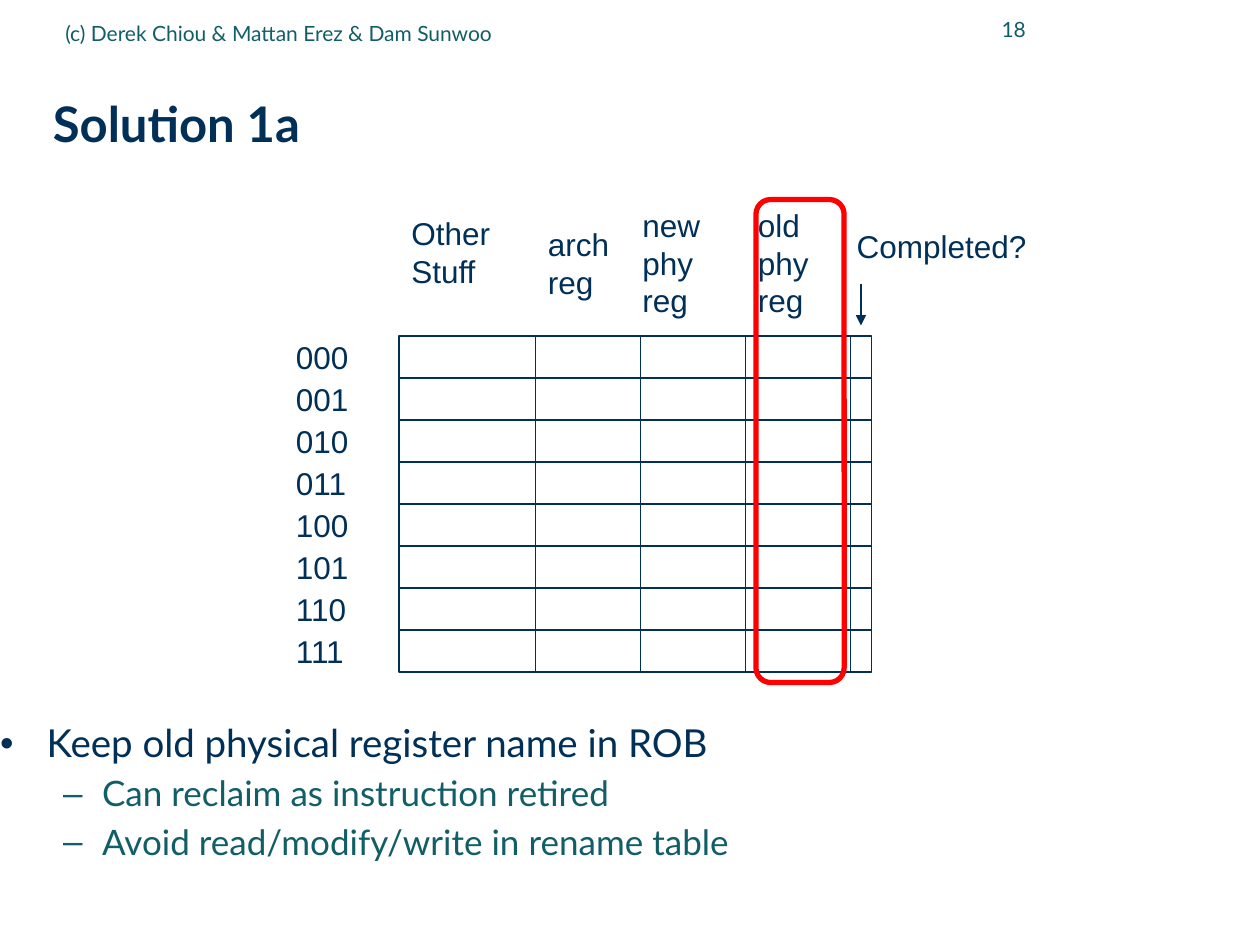
from dataclasses import dataclass

from lxml import etree
from pptx import Presentation
from pptx.dml.color import RGBColor
from pptx.enum.shapes import MSO_CONNECTOR, MSO_SHAPE
from pptx.enum.text import MSO_ANCHOR, PP_ALIGN
from pptx.oxml.ns import qn
from pptx.util import Inches, Pt

RECTANGLE, ROUNDED = MSO_SHAPE.RECTANGLE, MSO_SHAPE.ROUNDED_RECTANGLE
STRAIGHT = MSO_CONNECTOR.STRAIGHT
TOP, MIDDLE = MSO_ANCHOR.TOP, MSO_ANCHOR.MIDDLE
LEFT, RIGHT = PP_ALIGN.LEFT, PP_ALIGN.RIGHT


@dataclass(frozen=True)
class Theme:
    navy: str = "003057"
    teal: str = "115E67"
    red: str = "FF0000"
    text_font: str = "Lato"
    diagram_font: str = "Arial"
    title_size: int = 28
    small_size: int = 12
    label_size: int = 18
    thin: float = 0.75
    thick: float = 3


THEME = Theme()

# Content
TITLE = "Solution 1a"
FOOTER = "(c) Derek Chiou & Mattan Erez & Dam Sunwoo"
PAGE = "18"
# text, level, size, colour, text indent, hanging indent, bullet, space before
BULLETS = [
    ("Keep old physical register name in ROB", 0, 22, THEME.navy, 0.37, 0.37, "•", 0),
    ("Can reclaim as instruction retired", 1, 20, THEME.teal, 0.81, 0.31, "–", 6),
    ("Avoid read/modify/write in rename table", 1, 20, THEME.teal, 0.81, 0.31, "–", 6),
]
ROWS = [f"{index:03b}" for index in range(8)]

# Diagram grid, counted in twelfths of an inch
UNIT = 1 / 12
GRID_LEFT, GRID_TOP, ROW_HEIGHT = 38, 32, 4
COLUMN_WIDTHS = [13, 10, 10, 10, 2]
ROW_LABEL_LEFT, ROW_LABEL_WIDTH = 27, 10
# heading, left, top, width
HEADINGS = [
    ("Other\nStuff", 38, 22, 13),
    ("arch\nreg", 51, 23, 10),
    ("new\nphy\nreg", 60, 23, 10),
    ("old\nphy\nreg", 71, 23, 10),
]
COMPLETED = ("Completed?", 6.7, 1.75, 1.55, 0.4)
ARROW_TOP, ARROW_BOTTOM = 27, 31
HIGHLIGHT = (72, 19, 8.4, 46)

presentation = Presentation()
presentation.slide_width, presentation.slide_height = Inches(10), Inches(7.5)
slide = presentation.slides.add_slide(presentation.slide_layouts[6])


def units(*values):
    return [value * UNIT for value in values]


def format_runs(paragraph, size, color, font, bold=False):
    for run in paragraph.runs:
        run.font.size, run.font.name, run.font.bold = Pt(size), font, bold
        run.font.color.rgb = RGBColor.from_string(color)


def add_text(text, box, size, color=THEME.navy, font=THEME.text_font, bold=False,
             anchor=MIDDLE, align=LEFT, wrap=True, inset=True, spacing=None):
    frame = slide.shapes.add_textbox(*map(Inches, box)).text_frame
    frame.word_wrap, frame.vertical_anchor = wrap, anchor
    if not inset:
        frame.margin_left = frame.margin_right = 0
        frame.margin_top = frame.margin_bottom = 0
    frame.text = text
    for paragraph in frame.paragraphs:
        paragraph.alignment = align
        if spacing:
            paragraph.line_spacing = spacing
        format_runs(paragraph, size, color, font, bold)
    return frame


def add_label(text, box, anchor=MIDDLE):
    add_text(text, box, THEME.label_size, font=THEME.diagram_font,
             anchor=anchor, wrap=False)


def add_outline(kind, box, color, width):
    shape = slide.shapes.add_shape(kind, *map(Inches, box))
    shape.shadow.inherit = False
    shape.fill.background()
    shape.line.color.rgb = RGBColor.from_string(color)
    shape.line.width = Pt(width)


def add_bullet(paragraph, character, color, indent, hanging):
    properties = paragraph._p.get_or_add_pPr()
    properties.set("marL", str(Inches(indent)))
    properties.set("indent", str(-Inches(hanging)))
    bullet_color = etree.SubElement(properties, qn("a:buClr"))
    etree.SubElement(bullet_color, qn("a:srgbClr"), val=color)
    etree.SubElement(properties, qn("a:buFont"), typeface=THEME.diagram_font)
    etree.SubElement(properties, qn("a:buChar"), char=character)


def add_arrow(x, top, bottom):
    arrow = slide.shapes.add_connector(STRAIGHT, *map(Inches, (x, top, x, bottom)))
    arrow.line.color.rgb = RGBColor.from_string(THEME.navy)
    arrow.line.width = Pt(THEME.thin)
    etree.SubElement(arrow.line._get_or_add_ln(), qn("a:tailEnd"), type="triangle")
    etree.SubElement(arrow._element.spPr, qn("a:effectLst"))


# Title, page number and footer
add_text(TITLE, (0.42, 0.5, 9.41, 0.98), THEME.title_size, bold=True,
         inset=False, spacing=0.99)
add_text(PAGE, (7.33, -0.02, 0.91, 0.5), THEME.small_size, THEME.teal, align=RIGHT)
add_text(FOOTER, (0.42, 0.03, 5.67, 0.46), THEME.small_size, THEME.teal)

# Bullets
body = add_text("\n".join(bullet[0] for bullet in BULLETS), (0, 5.75, 9.49, 1.28),
                BULLETS[0][2], anchor=TOP, inset=False, spacing=0.9)
for paragraph, bullet in zip(body.paragraphs, BULLETS):
    _, level, size, color, indent, hanging, character, before = bullet
    paragraph.level = level
    paragraph.space_before = Pt(before)
    add_bullet(paragraph, character, color, indent, hanging)
    format_runs(paragraph, size, color, THEME.text_font)

# Reorder buffer: row labels and cells
for row, label in enumerate(ROWS):
    top = GRID_TOP + row * ROW_HEIGHT
    add_label(label, units(ROW_LABEL_LEFT, top, ROW_LABEL_WIDTH, ROW_HEIGHT))
    for column, width in enumerate(COLUMN_WIDTHS):
        left = GRID_LEFT + sum(COLUMN_WIDTHS[:column])
        add_outline(RECTANGLE, units(left, top, width, ROW_HEIGHT),
                    THEME.navy, THEME.thin)

# Column headings, with an arrow to the narrow last column
for heading, left, top, width in HEADINGS:
    add_label(heading, units(left, top, width, ROW_HEIGHT))
add_label(COMPLETED[0], COMPLETED[1:], anchor=TOP)
last_middle = GRID_LEFT + sum(COLUMN_WIDTHS) - COLUMN_WIDTHS[-1] / 2
add_arrow(*units(last_middle, ARROW_TOP, ARROW_BOTTOM))

# Highlight around the old register column
add_outline(ROUNDED, units(*HIGHLIGHT), THEME.red, THEME.thick)

presentation.save("out.pptx")
